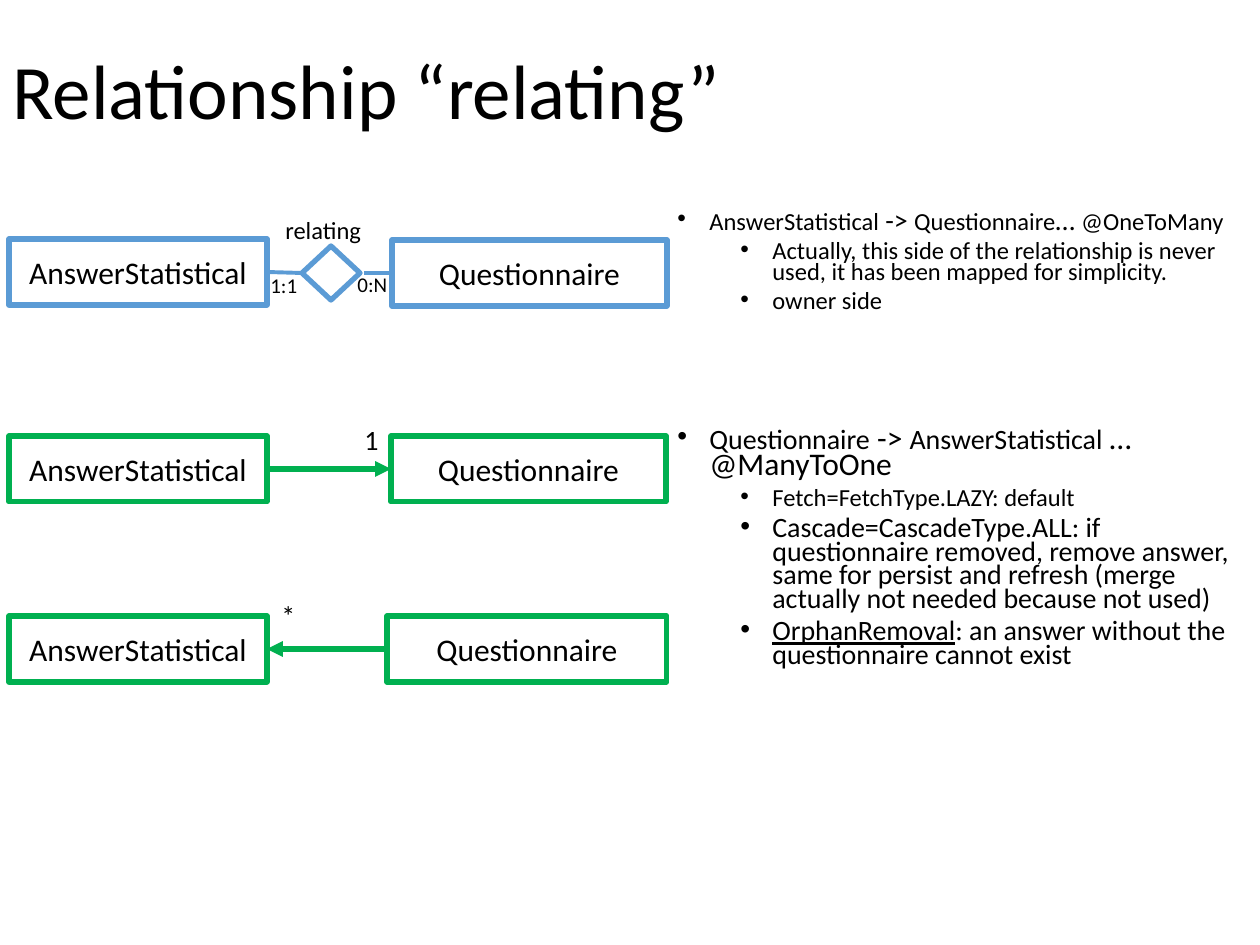
import pptx
import pptx.util
import pptx.dml.color
import pptx.enum.shapes
import pptx.enum.text
import pptx.oxml.ns
from lxml import etree

SCALE = 914400 / 126
COLORS = {"ink": "000000", "paper": "FFFFFF", "entity": "5B9BD5", "class": "00B050"}
SHAPES = pptx.enum.shapes.MSO_SHAPE
ALIGN = pptx.enum.text.PP_ALIGN
MIDDLE = pptx.enum.text.MSO_ANCHOR.MIDDLE


def px(length):
    return pptx.util.Emu(round(length * SCALE))


def color(name):
    return pptx.dml.color.RGBColor.from_string(COLORS[name])


def apply(target, values):
    for name, value in values.items():
        setattr(target, name, value)


def add_xml(parent, tag, **attributes):
    return etree.SubElement(parent, pptx.oxml.ns.qn(tag), attributes)


class Painter:
    font = "Calibri"

    def __init__(self, deck):
        self.page = deck.slides.add_slide(deck.slide_layouts[6])

    def span(self, para, text, size, underline=None):
        span = para.add_run()
        span.text = text
        apply(span.font, {"name": self.font, "size": pptx.util.Pt(size), "underline": underline})
        span.font.color.rgb = color("ink")

    def text(self, area, text, size, wrap=False, frame_format=None, para_format=None):
        box = self.page.shapes.add_textbox(*map(px, area))
        apply(box.text_frame, {"word_wrap": wrap, **(frame_format or {})})
        para = box.text_frame.paragraphs[0]
        apply(para, para_format or {})
        self.span(para, text, size)

    def bullets(self, area, items):
        box = self.page.shapes.add_textbox(*map(px, area))
        box.text_frame.word_wrap = True
        for index, (level, spans) in enumerate(items):
            para = box.text_frame.paragraphs[0] if index == 0 else box.text_frame.add_paragraph()
            properties = para._p.get_or_add_pPr()
            properties.set("marL", str(px(32 + 63 * level)))
            properties.set("indent", str(-px(32)))
            add_xml(properties, "a:buFont", typeface="Arial")
            add_xml(properties, "a:buChar", char="•")
            space = 0 if index == 0 else 5
            apply(para, {"level": level, "line_spacing": 0.7, "space_before": pptx.util.Pt(space)})
            for span in spans:
                self.span(para, *span)

    def shape(self, kind, area, line, filled, text=None):
        box = self.page.shapes.add_shape(kind, *map(px, area))
        box.shadow.inherit = False
        if filled:
            box.fill.solid()
            box.fill.fore_color.rgb = color("paper")
        else:
            box.fill.background()
        box.line.color.rgb = color(line)
        box.line.width = pptx.util.Pt(3)
        if text:
            apply(box.text_frame, {"word_wrap": True, "vertical_anchor": MIDDLE})
            para = box.text_frame.paragraphs[0]
            para.alignment = ALIGN.CENTER
            self.span(para, text, 18)

    def line(self, start, end, line, width, arrow=False):
        connector = self.page.shapes.add_connector(
            pptx.enum.shapes.MSO_CONNECTOR.STRAIGHT, *map(px, start + end))
        connector.line.color.rgb = color(line)
        connector.line.width = pptx.util.Pt(width)
        properties = connector._element.spPr
        if arrow:
            add_xml(properties.find(pptx.oxml.ns.qn("a:ln")), "a:tailEnd", type="triangle")
        add_xml(properties, "a:effectLst")


def main():
    deck = pptx.Presentation()
    apply(deck, {"slide_width": px(1260), "slide_height": px(945)})
    painter = Painter(deck)

    painter.text((0, 3, 1087, 183), "Relationship “relating”", 44, True,
                 {"vertical_anchor": MIDDLE}, {"line_spacing": 0.9})

    painter.bullets((665, 205, 595, 130), [
        (0, [("AnswerStatistical", 14), (" -> ", 16), ("Questionnaire", 14),
             ("… ", 16), ("@OneToMany", 14)]),
        (1, [("Actually, this side of the relationship is never used, "
              "it has been mapped for simplicity.", 14)]),
        (1, [("owner side", 14)]),
    ])
    painter.bullets((665, 422, 595, 260), [
        (0, [("Questionnaire", 16), (" -> ", 18), ("AnswerStatistical", 16),
             (" … @ManyToOne", 18)]),
        (1, [("Fetch=FetchType.LAZY: default", 14)]),
        (1, [("Cascade=CascadeType.ALL: if questionnaire removed, remove answer, same for "
              "persist and refresh (merge actually not needed because not used)", 16)]),
        (1, [("OrphanRemoval", 16, True),
             (": an answer without the questionnaire cannot exist", 16)]),
    ])

    rows = [
        (239, 240, 392, 275, "entity"),
        (436, 436, 391, 275, "class"),
        (616, 616, 387, 280, "class"),
    ]
    for answer_top, question_top, left, width, style in rows:
        filled = style == "entity"
        painter.shape(SHAPES.RECTANGLE, (left, question_top, width, 66), style, filled, "Questionnaire")
        painter.shape(SHAPES.RECTANGLE, (9, answer_top, 258, 66), style, filled, "AnswerStatistical")

    painter.shape(SHAPES.DIAMOND, (302, 246, 58, 54), "entity", True)
    painter.line((392, 273), (364, 273), "entity", 2.25)
    painter.line((302, 273), (267, 272), "entity", 2.25)
    painter.line((267, 469), (391, 469), "class", 3, True)
    painter.line((387, 649), (267, 649), "class", 3, True)

    labels = [
        ((345, 265, 55, 38), "0:N", 12),
        ((258, 266, 53, 38), "1:1", 12),
        ((273, 209, 102, 43), "relating", 14),
        ((352, 416, 40, 47), "1", 16),
        ((269, 592, 40, 47), "*", 16),
    ]
    for label in labels:
        painter.text(*label)

    deck.save("out.pptx")


if __name__ == "__main__":
    main()
